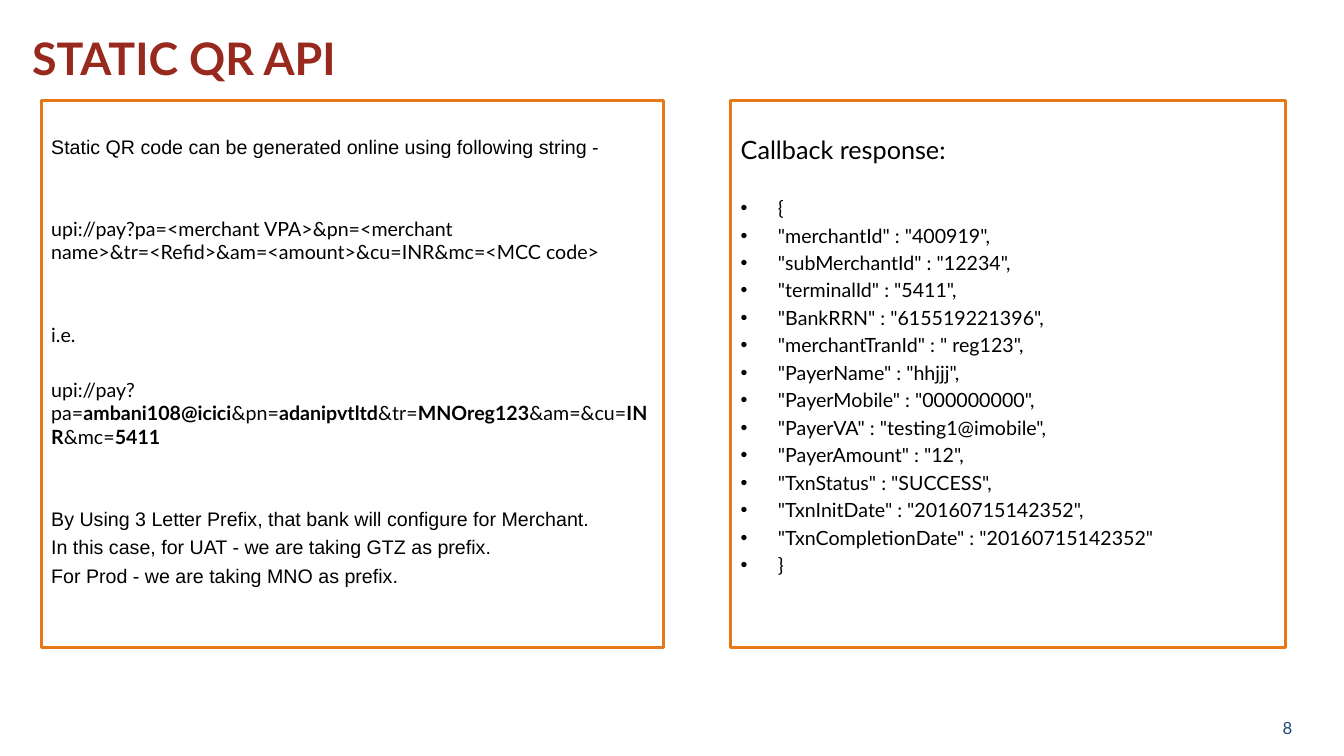
from lxml.etree import SubElement as Sub
from pptx import Presentation
from pptx.dml.color import RGBColor as Rgb
from pptx.enum.shapes import MSO_SHAPE as Kind
from pptx.enum.text import MSO_ANCHOR as Anchor, PP_ALIGN as Align
from pptx.oxml.ns import qn
from pptx.util import Pt

INK = {"title": "97291E", "page": "1F497D", "frame": "E77817", "text": "000000"}


def write(frame, text, first=False, size=14, font="Lato", color="text",
          bold=False, align=Align.LEFT, before=2.8, hang=0):
    """Write one paragraph; parts between ** marks are bold."""
    para = frame.paragraphs[0] if first else frame.add_paragraph()
    para.alignment = align
    para.space_before = Pt(0 if first else before)
    if hang:
        props = para._p.get_or_add_pPr()
        props.set("marL", str(Pt(hang)))
        props.set("indent", str(-Pt(hang)))
        Sub(props, qn("a:buFont"), typeface="Arial")
        Sub(props, qn("a:buChar"), char="•")
    for num, part in enumerate(text.split("**")):
        if not part:
            continue
        run = para.add_run()
        run.text = part
        run.font.name = font
        run.font.size = Pt(size)
        run.font.bold = bold or num % 2 == 1
        run.font.color.rgb = Rgb.from_string(INK[color])


class Page:
    def __init__(self, deck):
        self.slide = deck.slides.add_slide(deck.slide_layouts[6])
        self.line = 2.25
        self.inset = 24

    def label(self, left, top, width, height, text, anchor=Anchor.TOP, **style):
        box = self.slide.shapes.add_textbox(Pt(left), Pt(top), Pt(width), Pt(height))
        frame = box.text_frame
        frame.word_wrap = True
        frame.vertical_anchor = anchor
        write(frame, text, first=True, **style)

    def panel(self, left, top, width, height, rows):
        box = self.slide.shapes.add_shape(
            Kind.RECTANGLE, Pt(left), Pt(top), Pt(width), Pt(height))
        box.shadow.inherit = False
        box.fill.background()
        box.line.color.rgb = Rgb.from_string(INK["frame"])
        box.line.width = Pt(self.line)
        frame = box.text_frame
        frame.word_wrap = True
        frame.vertical_anchor = Anchor.TOP
        frame.margin_top = Pt(self.inset)
        for num, (text, style) in enumerate(rows):
            write(frame, text, first=num == 0, **style)


def main():
    deck = Presentation()
    deck.slide_width, deck.slide_height = Pt(960), Pt(540)
    page = Page(deck)

    # Title
    page.label(15.84, 18.72, 920, 47.5, "STATIC QR API",
               size=32, color="title", bold=True)

    # Page number
    page.label(882, 505.44, 48.24, 28.8, "8", anchor=Anchor.MIDDLE,
               size=12, color="page", align=Align.RIGHT)

    # Payment string
    wide, near = {"before": 42}, {"before": 22.4}
    note = {"font": "Arial", "before": 3.5}
    page.panel(29.52, 72, 444.24, 390.24, [
        ("Static QR code can be generated online using following string -", note),
        ("upi://pay?pa=<merchant VPA>&pn=<merchant name>&tr=<Refid>"
         "&am=<amount>&cu=INR&mc=<MCC code>", wide),
        ("i.e.", wide),
        ("upi://pay?pa=**ambani108@icici**&pn=**adanipvtltd**&tr=**MNOreg123**"
         "&am=&cu=**INR**&mc=**5411**", near),
        ("By Using 3 Letter Prefix, that bank will configure for Merchant.",
         note | wide),
        ("In this case, for UAT - we are taking GTZ as prefix.", note),
        ("For Prod - we are taking MNO as prefix.", note),
    ])

    # Callback response
    reply = [
        '{',
        '"merchantId" : "400919",',
        '"subMerchantId" : "12234",',
        '"terminalId" : "5411",',
        '"BankRRN" : "615519221396",',
        '"merchantTranId" : " reg123",',
        '"PayerName" : "hhjjj",',
        '"PayerMobile" : "000000000",',
        '"PayerVA" : "testing1@imobile",',
        '"PayerAmount" : "12",',
        '"TxnStatus" : "SUCCESS",',
        '"TxnInitDate" : "20160715142352",',
        '"TxnCompletionDate" : "20160715142352"',
        '}',
    ]
    item = {"hang": 26.64}
    page.panel(522, 72, 396, 390.24, [
        ("Callback response:", {"size": 18}),
        (reply[0], item | near),
        *((text, item) for text in reply[1:]),
    ])

    deck.save("out.pptx")


if __name__ == "__main__":
    main()
